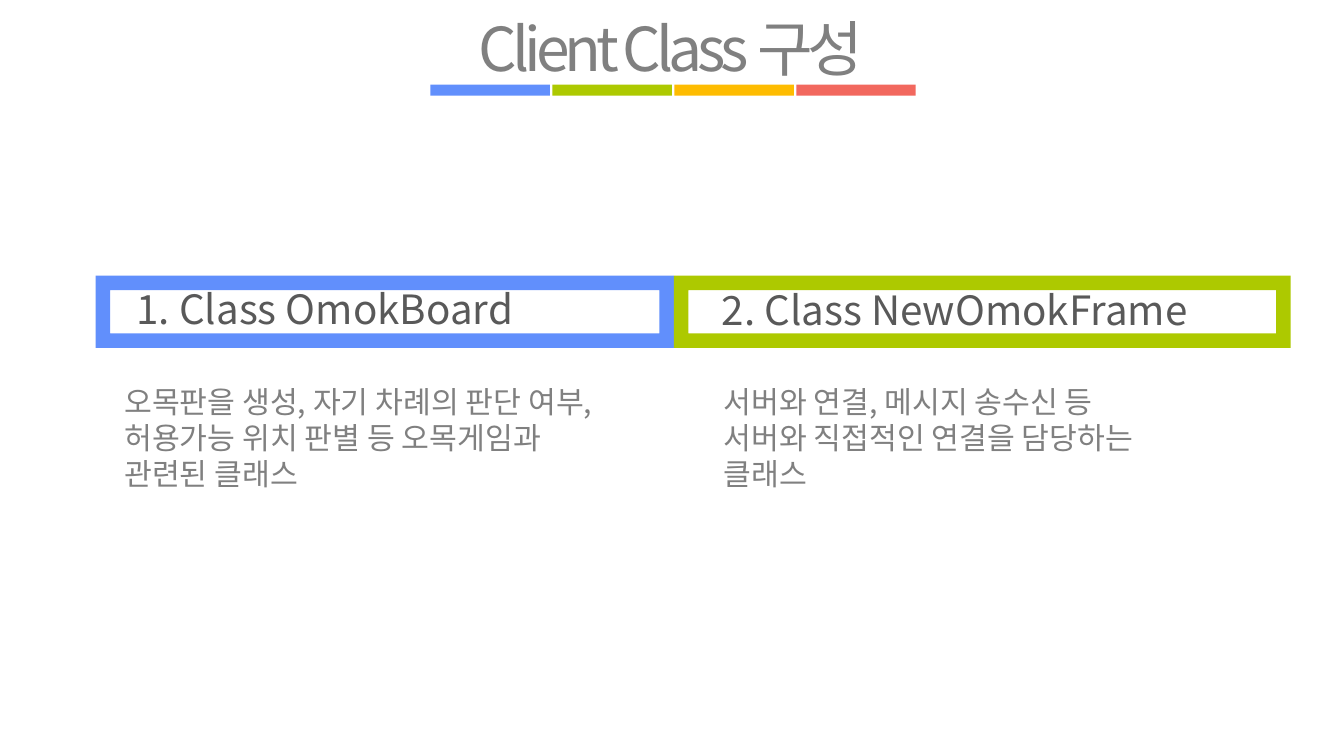
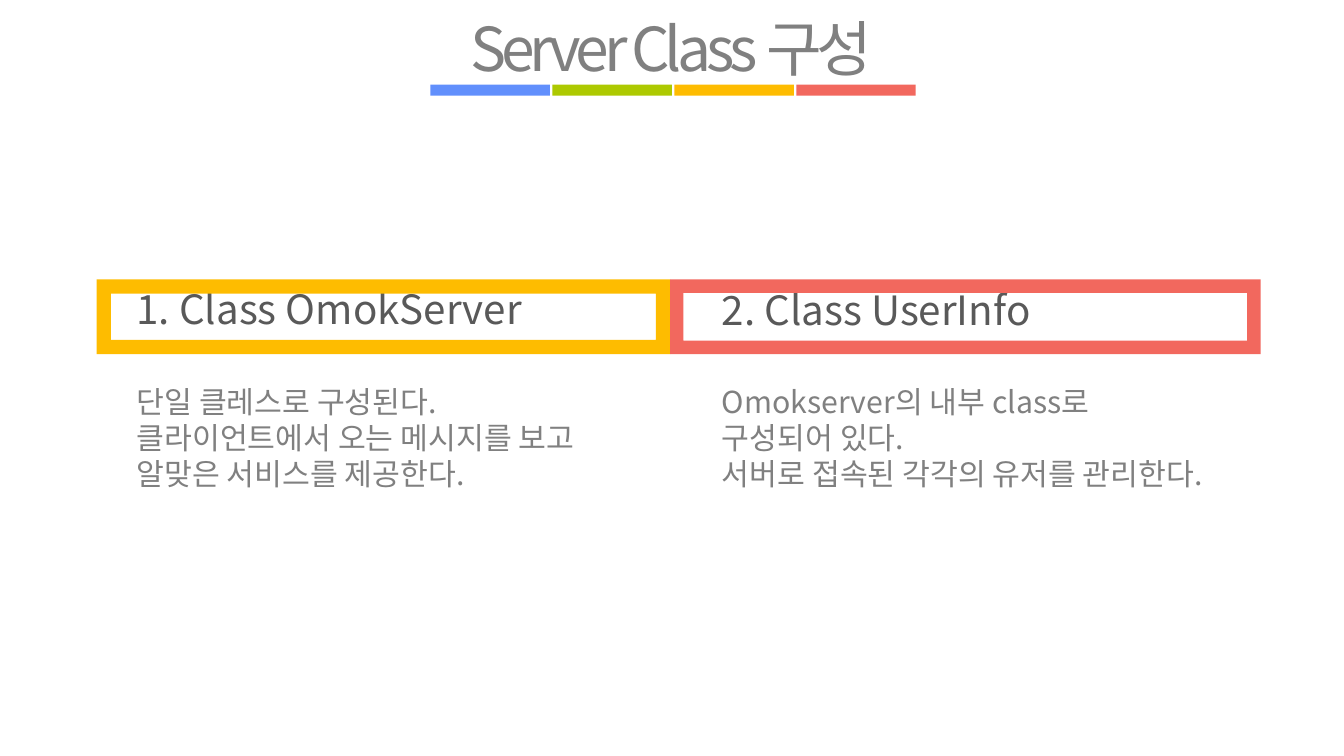
from lxml.etree import SubElement
from pptx import Presentation
from pptx.dml.color import RGBColor
from pptx.enum.shapes import MSO_SHAPE
from pptx.enum.text import MSO_AUTO_SIZE, PP_ALIGN
from pptx.oxml.ns import qn
from pptx.util import Cm, Pt

BLUE = RGBColor(0x61, 0x8F, 0xFC)
GREEN = RGBColor(0xAD, 0xC9, 0x00)
AMBER = RGBColor(0xFE, 0xBC, 0x00)
CORAL = RGBColor(0xF2, 0x68, 0x5E)
GRAY = RGBColor(0x80, 0x80, 0x80)
DARK = RGBColor(0x59, 0x59, 0x59)
FONT = "Noto Sans CJK KR"

TITLE = {"size": 36, "color": GRAY, "space": -300, "pad": 0, "align": PP_ALIGN.CENTER}
HEAD = {"size": 24, "color": DARK, "pad": 0}
BODY = {"size": 18, "color": GRAY, "pad": 0.13}

HEADS = [(2.62, 5.97, 11.48, 1.02), (14.91, 5.99, 11.99, 1.02)]
BODY_TOP, BODY_HIGH = 7.92, 2.57

SLIDES = [
    {
        "title": "Client Class 구성",
        "left": 2.01, "top": 5.79, "high": 1.52,
        "parts": [
            {"head": "1. Class OmokBoard", "color": BLUE, "wide": 12.14, "adj": 0.2,
             "body": (2.36, 11.48),
             "lines": ["오목판을 생성, 자기 차례의 판단 여부,",
                       "허용가능 위치 판별 등 오목게임과",
                       "관련된 클래스"]},
            {"head": "2. Class NewOmokFrame", "color": GREEN, "wide": 12.95, "adj": 0.2,
             "body": (14.94, 11.02),
             "lines": ["서버와 연결, 메시지 송수신 등",
                       "서버와 직접적인 연결을 담당하는",
                       "클래스"]},
        ],
    },
    {
        "title": "Server Class 구성",
        "left": 2.03, "top": 5.87, "high": 1.57,
        "parts": [
            {"head": "1. Class OmokServer", "color": AMBER, "wide": 12.04, "adj": 0.19,
             "body": (2.62, 11.48),
             "lines": ["단일 클레스로 구성된다.",
                       "클라이언트에서 오는 메시지를 보고",
                       "알맞은 서비스를 제공한다."]},
            {"head": "2. Class UserInfo", "color": CORAL, "wide": 12.4, "adj": 0.18,
             "body": (14.91, 12.09),
             "lines": ["Omokserver의 내부 class로",
                       "구성되어 있다.",
                       "서버로 접속된 각각의 유저를 관리한다."]},
        ],
    },
]


def add_text(slide, box, lines, style):
    frame = slide.shapes.add_textbox(*map(Cm, box)).text_frame
    pad = Cm(style["pad"])
    look = {"word_wrap": True, "auto_size": MSO_AUTO_SIZE.SHAPE_TO_FIT_TEXT,
            "margin_top": pad, "margin_bottom": pad}
    for name, value in look.items():
        setattr(frame, name, value)
    frame.text = "\n".join(lines)
    for para in frame.paragraphs:
        para.alignment = style.get("align")
        for run in para.runs:
            for name, value in {"size": Pt(style["size"]), "name": FONT}.items():
                setattr(run.font, name, value)
            run.font.color.rgb = style["color"]
            props = run._r.get_or_add_rPr()
            SubElement(props, qn("a:ea")).set("typeface", FONT)
            if "space" in style:
                props.set("spc", str(style["space"]))


def add_block(shapes, kind, box, color):
    block = shapes.add_shape(kind, *map(Cm, box))
    block.shadow.inherit = False
    block.fill.solid()
    block.fill.fore_color.rgb = color
    block.line.fill.background()
    return block


def add_title(slide, title):
    add_text(slide, (6.93, 0.23, 14.33, 1.55), [title], TITLE)
    group = slide.shapes.add_group_shape()
    for i, color in enumerate((BLUE, GREEN, AMBER, CORAL)):
        box = (9.04 + i * 2.56, 1.78, 2.51, 0.23)
        add_block(group.shapes, MSO_SHAPE.RECTANGLE, box, color)


def add_parts(slide, data):
    for part, box in zip(data["parts"], HEADS):
        left, wide = part["body"]
        add_text(slide, box, [part["head"]], HEAD)
        add_text(slide, (left, BODY_TOP, wide, BODY_HIGH), part["lines"], BODY)
    left = data["left"]
    for part in data["parts"]:
        box = (left, data["top"], part["wide"], data["high"])
        block = add_block(slide.shapes, MSO_SHAPE.FRAME, box, part["color"])
        block.adjustments[0] = part["adj"]
        left += part["wide"]


def main():
    deck = Presentation()
    deck.slide_width, deck.slide_height = Cm(28.22), Cm(15.88)
    for data in SLIDES:
        slide = deck.slides.add_slide(deck.slide_layouts[6])
        add_title(slide, data["title"])
        add_parts(slide, data)
    deck.save("out.pptx")


if __name__ == "__main__":
    main()
